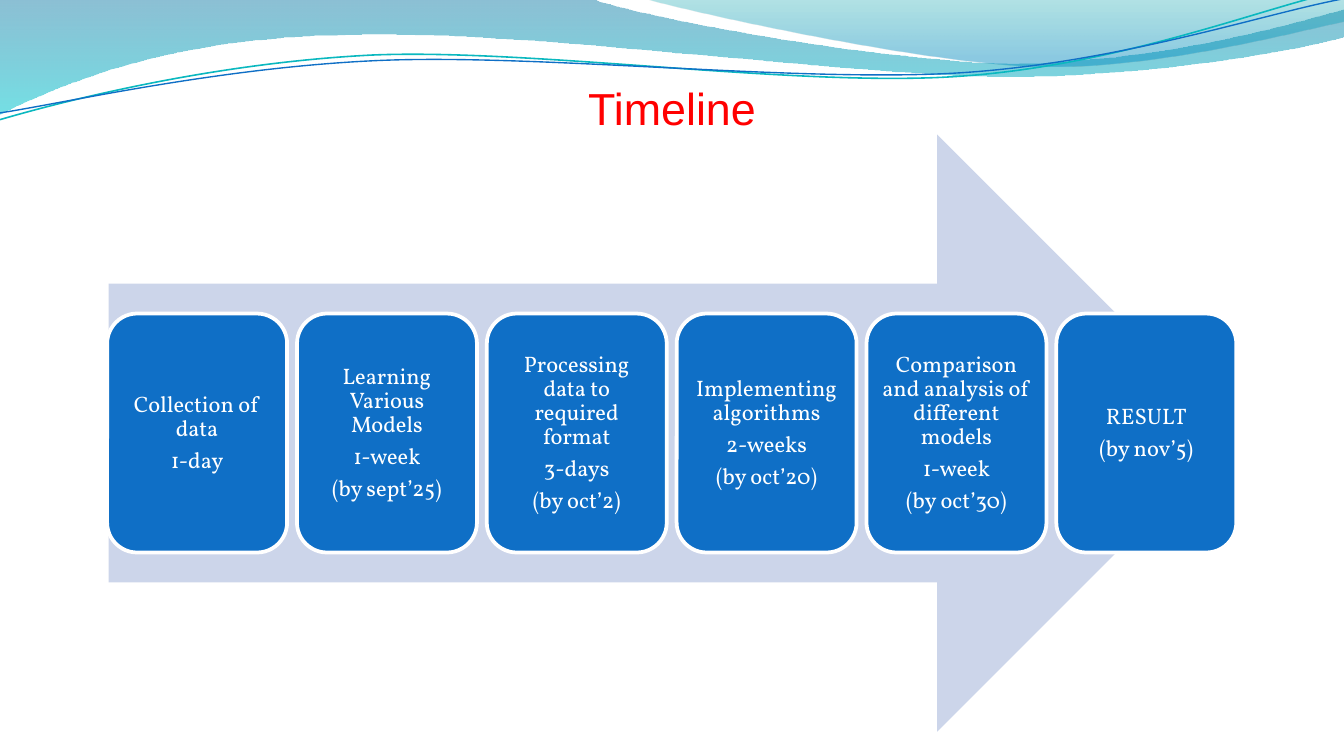
import pptx
import pptx.dml.color
import pptx.enum.shapes
import pptx.enum.text
import pptx.oxml.ns
import pptx.util
from dataclasses import dataclass
from lxml import etree

Pt = pptx.util.Pt
RGB = pptx.dml.color.RGBColor.from_string
SHAPES = pptx.enum.shapes.MSO_SHAPE
ALIGN = pptx.enum.text.PP_ALIGN
ANCHOR = pptx.enum.text.MSO_ANCHOR
qn = pptx.oxml.ns.qn


@dataclass(frozen=True)
class Theme:
    title: str = "FF0000"
    arrow: str = "CCD5EA"
    step: str = "0F6FC6"
    white: str = "FFFFFF"
    teal: str = "0AB8BF"
    title_font: str = "Arial"
    step_font: str = "Vollkorn"
    title_size: float = 24
    step_size: float = 12


theme = Theme()


def add_curve(page, start, pieces, closed):
    """Draw pieces of 2 numbers (a line) or 6 (a Bézier curve), in points."""
    corners = [(Pt(piece[i]), Pt(piece[i + 1]))
               for piece in pieces for i in range(0, len(piece), 2)]
    builder = page.shapes.build_freeform(Pt(start[0]), Pt(start[1]))
    builder.add_line_segments(corners, close=closed)
    curve = builder.convert_to_shape()
    curve.shadow.inherit = False
    # Join the three segments of each Bézier piece into one curve
    segments = iter(list(curve._element.spPr.iter(qn("a:lnTo"))))
    for piece in pieces:
        first = next(segments)
        if len(piece) == 6:
            first.tag = qn("a:cubicBezTo")
            for _ in range(2):
                extra = next(segments)
                first.append(extra[0])
                extra.getparent().remove(extra)
    return curve


def add_run(para, text, font, size, color):
    span = para.add_run()
    span.text = text
    span.font.name = font
    span.font.size = Pt(size)
    span.font.color.rgb = RGB(color)


deck = pptx.Presentation()
deck.slide_width, deck.slide_height = Pt(720), Pt(405)
page = deck.slides.add_slide(deck.slide_layouts[5])

# Waves: start, pieces, gradient stops (position, colour, opacity in percent)
waves = [
    ((0, 0),
     [(316.8, -0.7), (342.7, 9.4, 478.1, 33.8, 545.8, 33.8),
      (614.2, 33.8, 689.8, 13.7, 720, 5), (720.7, 19.4),
      (707.8, 23.8, 626.4, 41, 537.1, 41), (447.8, 40.3, 275, 15.1, 185, 18.7),
      (92.9, 19.4, 33.1, 44.6, -0.7, 61.2)],
     [(0, "0074A1", 45), (1, "00C6CF", 55)]),
    ((344.9, -0.7),
     [(366.5, 5.8, 491, 33.1, 553.7, 35.3), (616.3, 37.4, 691.9, 17.3, 720, 11.5),
      (720, 0)],
     [(0, "00A1A9", 30), (0.8, "008BBF", 45)]),
]
for start, pieces, stops in waves:
    wave = add_curve(page, start, pieces, True)
    wave.line.fill.background()
    wave.fill.gradient()
    wave.fill.gradient_angle = 270
    for stop, (position, color, _) in zip(wave.fill.gradient_stops, stops):
        stop.position = position
        stop.color.rgb = RGB(color)
    for node, (_, _, opacity) in zip(wave._element.spPr.iter(qn("a:srgbClr")), stops):
        etree.SubElement(node, qn("a:alpha")).set("val", str(opacity * 1000))

# Thin lines: start, pieces, colour, width
ripples = [
    ((0, 64.1),
     [(34.6, 54, 113.8, 33.8, 199.4, 29.5), (285.1, 25.9, 426.2, 46.8, 512.6, 41),
      (599.8, 35.3, 676.1, 4.3, 718.6, -5)], theme.teal, 0.85),
    ((0, 60.5),
     [(33.8, 55.4, 118.1, 36, 203.8, 32.4), (290.2, 28.8, 429.8, 44.6, 516.2, 38.9),
      (601.9, 33.1, 677.5, 7.2, 720, -0.7)], theme.step, 0.75),
]
for start, pieces, color, width in ripples:
    ripple = add_curve(page, start, pieces, False)
    ripple.fill.background()
    ripple.line.color.rgb = RGB(color)
    ripple.line.width = Pt(width)

arrow = page.shapes.add_shape(SHAPES.RIGHT_ARROW, Pt(58.2), Pt(72), Pt(603.8), Pt(320))
arrow.shadow.inherit = False
arrow.fill.solid()
arrow.fill.fore_color.rgb = RGB(theme.arrow)
arrow.line.fill.background()

steps = [
    ["Collection of data", "1-day"],
    ["Learning Various Models", "1-week", "(by sept’25)"],
    ["Processing data to required format", "3-days", "(by oct’2)"],
    ["Implementing algorithms", "2-weeks", "(by oct’20)"],
    ["Comparison and analysis of different models", "1-week", "(by oct’30)"],
    ["RESULT", "(by nov’5)"],
]
step_left, step_pitch, step_width = 57.4, 101.7, 96.4
for index, lines in enumerate(steps):
    box = page.shapes.add_shape(
        SHAPES.ROUNDED_RECTANGLE, Pt(step_left + index * step_pitch), Pt(168),
        Pt(step_width), Pt(128))
    box.shadow.inherit = False
    box.fill.solid()
    box.fill.fore_color.rgb = RGB(theme.step)
    box.line.color.rgb = RGB(theme.white)
    box.line.width = Pt(2)
    frame = box.text_frame
    frame.word_wrap = True
    frame.vertical_anchor = ANCHOR.MIDDLE
    frame.margin_left = frame.margin_right = Pt(3.6)
    frame.margin_top = frame.margin_bottom = Pt(3.6)
    for number, line in enumerate(lines):
        para = frame.add_paragraph() if number else frame.paragraphs[0]
        para.alignment = ALIGN.CENTER
        para.line_spacing = 0.9
        para.space_after = Pt(4.2)
        add_run(para, line, theme.step_font, theme.step_size, theme.white)

title = page.shapes.title
title.left, title.top, title.width, title.height = Pt(36), Pt(41.8), Pt(648), Pt(30.2)
frame = title.text_frame
frame.vertical_anchor = ANCHOR.BOTTOM
frame.margin_left = frame.margin_right = frame.margin_bottom = 0
frame.margin_top = Pt(3.6)
frame.paragraphs[0].alignment = ALIGN.CENTER
add_run(frame.paragraphs[0], "Timeline", theme.title_font, theme.title_size, theme.title)

deck.save("out.pptx")
